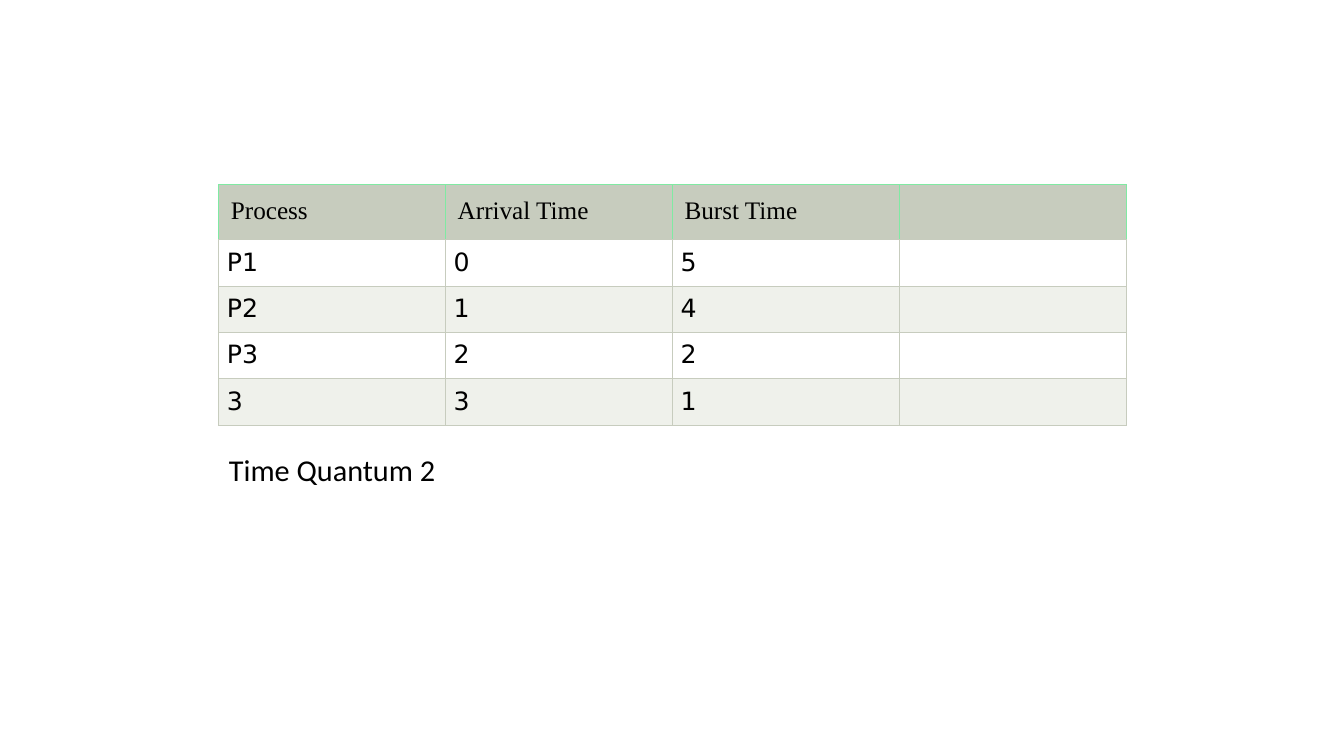
from dataclasses import dataclass

from lxml import etree
from pptx import Presentation
from pptx.dml.color import RGBColor
from pptx.enum.text import MSO_ANCHOR, MSO_AUTO_SIZE, PP_ALIGN
from pptx.oxml.ns import qn
from pptx.util import Inches, Pt

LEFT = PP_ALIGN.LEFT
MIDDLE = MSO_ANCHOR.MIDDLE
NO_FIT = MSO_AUTO_SIZE.NONE

BLACK = RGBColor(0x00, 0x00, 0x00)
WHITE = RGBColor(0xFF, 0xFF, 0xFF)
SAGE = RGBColor(0xC7, 0xCC, 0xBE)
PALE_SAGE = RGBColor(0xEF, 0xF1, 0xEB)
MINT = RGBColor(0x80, 0xEA, 0xA3)

TABLE_LEFT, TABLE_TOP, TABLE_WIDTH = 2.17, 1.83, 9
ROWS = [
    ("Process", "Arrival Time", "Burst Time", ""),
    ("P1", "0", "5", ""),
    ("P2", "1", "4", ""),
    ("P3", "2", "2", ""),
    ("3", "3", "1", ""),
]


@dataclass(frozen=True)
class RowStyle:
    height: float
    margin: float
    font: str
    fill: RGBColor
    border: RGBColor


HEADER = RowStyle(0.55, 0.12, "Times New Roman", SAGE, MINT)
ODD_ROW = RowStyle(0.46, 0.08, "DejaVu Sans", WHITE, SAGE)
EVEN_ROW = RowStyle(0.46, 0.08, "DejaVu Sans", PALE_SAGE, SAGE)


def style_of(row_number: int) -> RowStyle:
    if row_number == 0:
        return HEADER
    return ODD_ROW if row_number % 2 else EVEN_ROW


def write_text(frame, text: str, *, font: str, size: float) -> None:
    para = frame.paragraphs[0]
    para.alignment = LEFT
    span = para.add_run()
    span.text = text
    span.font.name = font
    span.font.size = Pt(size)
    span.font.bold = False
    span.font.color.rgb = BLACK


def set_borders(cell, side_color: RGBColor) -> None:
    properties = cell._tc.get_or_add_tcPr()
    colors = {"lnL": side_color, "lnR": side_color, "lnT": side_color, "lnB": SAGE}
    for position, (side, color) in enumerate(colors.items()):
        line = etree.Element(qn(f"a:{side}"), w=str(Pt(0.75)))
        fill = etree.SubElement(line, qn("a:solidFill"))
        etree.SubElement(fill, qn("a:srgbClr"), val=str(color))
        properties.insert(position, line)


def fill_cell(cell, text: str, style: RowStyle) -> None:
    cell.fill.solid()
    cell.fill.fore_color.rgb = style.fill
    set_borders(cell, style.border)
    if text:
        margin = Inches(style.margin)
        cell.margin_left = cell.margin_right = margin
        cell.margin_top = cell.margin_bottom = margin
        write_text(cell.text_frame, text, font=style.font, size=18)


deck = Presentation()
deck.slide_width, deck.slide_height = Inches(13.33), Inches(7.5)
page = deck.slides.add_slide(deck.slide_layouts.get_by_name("Title Only"))

# Time quantum, below the table
title = page.shapes.title
title.left, title.top = Inches(TABLE_LEFT), Inches(4.43)
title.width, title.height = Inches(TABLE_WIDTH), Inches(0.5)
title_frame = title.text_frame
title_frame.auto_size = NO_FIT
title_frame.vertical_anchor = MIDDLE
write_text(title_frame, "Time Quantum 2", font="Calibri", size=21.6)
title_frame.paragraphs[0].line_spacing = 0.9

# Process table
table_height = sum(style_of(number).height for number in range(len(ROWS)))
process_table = page.shapes.add_table(
    len(ROWS), len(ROWS[0]), Inches(TABLE_LEFT), Inches(TABLE_TOP),
    Inches(TABLE_WIDTH), Inches(table_height),
).table
for row_number, texts in enumerate(ROWS):
    row_style = style_of(row_number)
    process_table.rows[row_number].height = Inches(row_style.height)
    for column_number, cell_text in enumerate(texts):
        fill_cell(process_table.cell(row_number, column_number), cell_text, row_style)

deck.save("out.pptx")
